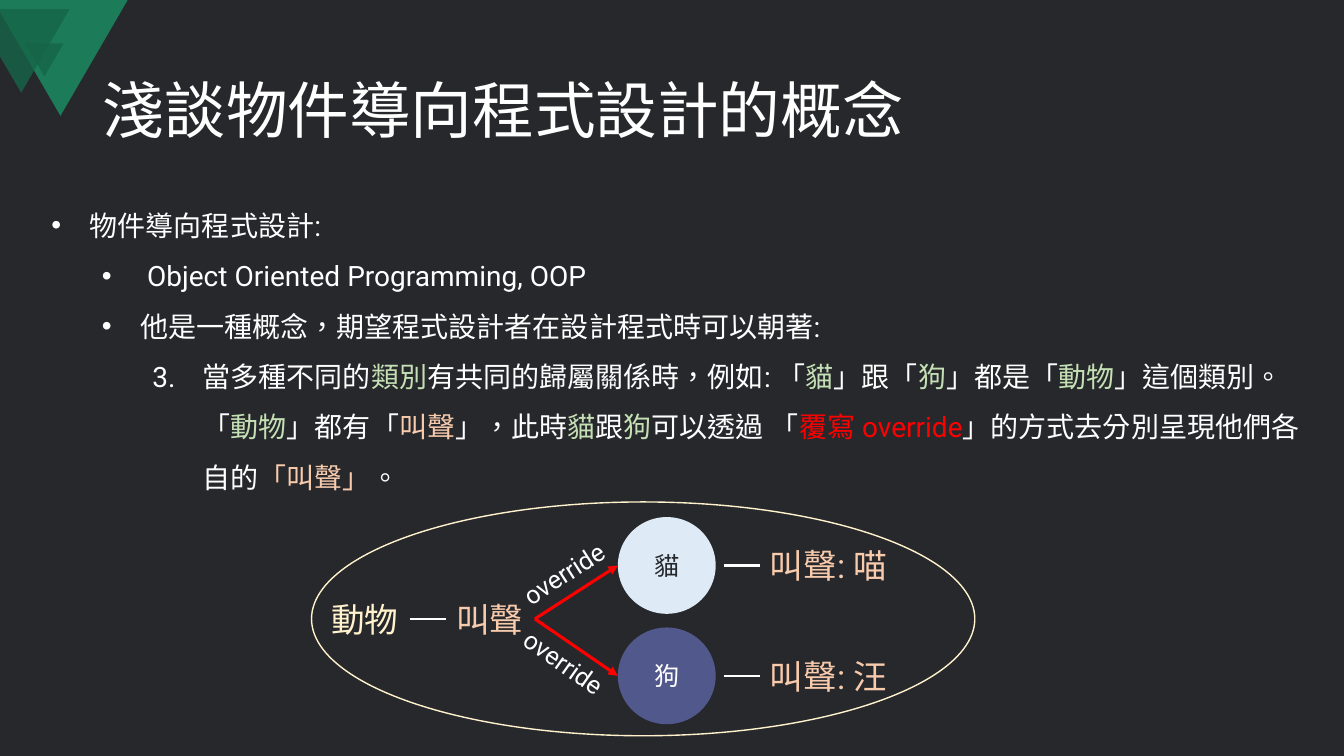
from pptx import Presentation
from pptx.dml.color import RGBColor
from pptx.enum.dml import MSO_LINE
from pptx.enum.shapes import MSO_CONNECTOR, MSO_SHAPE
from pptx.enum.text import MSO_ANCHOR, MSO_AUTO_SIZE, PP_ALIGN
from pptx.oxml.ns import qn
from pptx.util import Inches, Pt
from lxml import etree

OVAL, PEAK = MSO_SHAPE.OVAL, MSO_SHAPE.ISOSCELES_TRIANGLE
LINE, SOLID = MSO_CONNECTOR.STRAIGHT, MSO_LINE.SOLID
TOP, MIDDLE = MSO_ANCHOR.TOP, MSO_ANCHOR.MIDDLE
LEFT, CENTER = PP_ALIGN.LEFT, PP_ALIGN.CENTER
FIXED = MSO_AUTO_SIZE.NONE

WIDE, HIGH = Inches(13.33), Inches(7.5)
THEME = {
    "font": "Roboto", "lang": "zh-TW",
    "dark": "27282C", "white": "FFFFFF", "leaf": "1C7C5A", "moss": "166548",
    "mint": "C5E0B4", "peach": "F8CBAD", "red": "FF0000", "cream": "FFF2CC",
    "ice": "DEEBF7", "plum": "51588B",
    "title": 44, "body": 20, "node": 24, "small": 18,
    "thin": 1, "link": 1.5, "arrow": 2.25,
}

TITLE = "淺談物件導向程式設計的概念"
BODY = [
    (0, 0.38, -0.38, "•", [("物件導向程式設計:", "white")]),
    (1, 0.88, -0.38, "•", [(" Object Oriented Programming, OOP", "white")]),
    (1, 0.88, -0.38, "•", [("他是一種概念，期望程式設計者在設計程式時可以朝著:", "white")]),
    (2, 1.5, -0.5, 3, [
        ("當多種不同的", "white"), ("類別", "mint"),
        ("有共同的歸屬關係時，例如: 「", "white"), ("貓", "mint"),
        ("」跟「", "white"), ("狗", "mint"), ("」都是「", "white"),
        ("動物", "mint"), ("」這個類別。「", "white"), ("動物", "mint"),
        ("」都有「", "white"), ("叫聲", "peach"), ("」，此時", "white"),
        ("貓", "mint"), ("跟", "white"), ("狗", "mint"),
        ("可以透過 「", "white"), ("覆寫 override", "red"),
        ("」的方式去分別呈現他們各自的", "white"), ("「叫聲」", "peach"),
        ("。", "white")]),
]
PETS = [
    ("貓", "ice", "dark", "叫聲: 喵", 72.93, -32.8),
    ("狗", "plum", "white", "叫聲: 汪", 85.2, 35.3),
]
BADGE = [
    ([(0, 0), (9.5, 0), (4.5, 15.33), (0, 1.6)], "leaf", 100),
    ([(0, 1.2), (5.18, 1.2), (1.58, 12.27), (0, 7.47)], "moss", 80),
]
PLACES = {
    "title": (6.9, 5.33, 86.25, 19.33), "body": (3.08, 24.67, 95.85, 41.73),
    "ring": (23.18, 66.4, 49.35, 30.93), "peak": (1.88, 5.73, 2.85, 4.4),
    "kind": (23.9, 78.53, 6.6, 6.67), "voice": (33.2, 78.53, 6.6, 6.67),
}
PET = (45.97, 68.4, 7.28, 12.8)
STEP, DASH, CRY, TAG = 14.6, 53.85, (56.55, 10.73, 6.67), (37.8, 8.7, 5.33)


def px(share):
    return round(WIDE * share / 100)


def py(share):
    return round(HIGH * share / 100)


def spot(x, y, w, h):
    return px(x), py(y), px(w), py(h)


def tint(name):
    return RGBColor.from_string(THEME[name])


def apply(item, values):
    for key, value in values.items():
        setattr(item, key, value)


def write(para, text, size, color):
    run = para.add_run()
    run.text = text
    apply(run.font, {"size": Pt(THEME[size]), "name": THEME["font"]})
    run.font.color.rgb = tint(color)
    props = run.font._element
    props.set("lang", THEME["lang"])
    east = etree.Element(qn("a:ea"), typeface=THEME["font"])
    props.find(qn("a:latin")).addnext(east)


def paint(shape, fill=None, edge=None, alpha=100):
    shape.shadow.inherit = False
    if fill:
        shape.fill.solid()
        shape.fill.fore_color.rgb = tint(fill)
        if alpha < 100:
            tone = shape.fill._xPr.find(".//" + qn("a:srgbClr"))
            etree.SubElement(tone, qn("a:alpha"), val=str(alpha * 1000))
    else:
        shape.fill.background()
    if edge:
        shape.line.color.rgb = tint(edge)
        shape.line.width = Pt(THEME["thin"])
    else:
        shape.line.fill.background()


def label(place, text, size, color, wrap=False, turn=0):
    box = slide.shapes.add_textbox(*spot(*place))
    box.rotation = turn
    apply(box.text_frame, {"word_wrap": wrap, "auto_size": FIXED})
    write(box.text_frame.paragraphs[0], text, size, color)
    return box


def join(start, end, color, width, first=None, last=None, head=False):
    link = slide.shapes.add_connector(LINE, px(start[0]), py(start[1]), px(end[0]), py(end[1]))
    if first:
        link.begin_connect(first, 3)
    if last:
        link.end_connect(last, 1)
    link.line.color.rgb = tint(color)
    apply(link.line, {"width": Pt(THEME[width]), "dash_style": SOLID})
    if head:
        etree.SubElement(link.line._get_or_add_ln(), qn("a:tailEnd"), type="triangle")
    etree.SubElement(link._element.spPr, qn("a:effectLst"))


def mark(para, left, hang, sign):
    props = para._p.get_or_add_pPr()
    props.set("marL", str(Inches(left)))
    props.set("indent", str(Inches(hang)))
    if isinstance(sign, int):
        etree.SubElement(props, qn("a:buFont"), typeface="+mj-lt")
        etree.SubElement(props, qn("a:buAutoNum"), type="arabicPeriod", startAt=str(sign))
    else:
        etree.SubElement(props, qn("a:buFont"), typeface="Arial")
        etree.SubElement(props, qn("a:buChar"), char=sign)


deck = Presentation()
apply(deck, {"slide_width": WIDE, "slide_height": HIGH})
slide = deck.slides.add_slide(deck.slide_layouts[1])
slide.background.fill.solid()
slide.background.fill.fore_color.rgb = tint("dark")

title, body = slide.placeholders
for holder, name, anchor in ((title, "title", MIDDLE), (body, "body", TOP)):
    apply(holder, dict(zip(("left", "top", "width", "height"), spot(*PLACES[name]))))
    apply(holder.text_frame, {"word_wrap": True, "auto_size": FIXED, "vertical_anchor": anchor})

head = title.text_frame.paragraphs[0]
apply(head, {"alignment": LEFT, "line_spacing": 0.9})
write(head, TITLE, "title", "white")

for row, (level, left, hang, sign, runs) in enumerate(BODY):
    para = body.text_frame.add_paragraph() if row else body.text_frame.paragraphs[0]
    apply(para, {"level": level, "line_spacing": 1.5, "space_before": Pt(0)})
    mark(para, left, hang, sign)
    for text, color in runs:
        write(para, text, "body", color)

for points, color, alpha in BADGE:
    dots = [(px(x), py(y)) for x, y in points]
    form = slide.shapes.build_freeform(*dots[0])
    form.add_line_segments(dots[1:], close=True)
    paint(form.convert_to_shape(), color, alpha=alpha)
peak = slide.shapes.add_shape(PEAK, *spot(*PLACES["peak"]))
peak.rotation = 180
paint(peak, "moss", alpha=80)

ring = slide.shapes.add_shape(OVAL, *spot(*PLACES["ring"]))
paint(ring, edge="cream")
kind = label(PLACES["kind"], "動物", "node", "cream")
voice = label(PLACES["voice"], "叫聲", "node", "peach")
join((0, 0), (0, 0), "white", "link", kind, voice)

x, y, w, h = PET
for row, (name, fill, ink, cry, tag, turn) in enumerate(PETS):
    top = y + row * STEP
    mid = top + h / 2
    pet = slide.shapes.add_shape(OVAL, *spot(x, top, w, h))
    paint(pet, fill)
    pet.text_frame.vertical_anchor = MIDDLE
    para = pet.text_frame.paragraphs[0]
    para.alignment = CENTER
    write(para, name, "small", ink)
    join((x, mid), (x, mid), "red", "arrow", first=voice, head=True)
    label((TAG[0], tag, *TAG[1:]), "override", "small", "white", turn=turn)
    sound = label((CRY[0], mid - CRY[2] / 2, *CRY[1:]), cry, "node", "peach", wrap=True)
    join((DASH, mid), (CRY[0], mid), "white", "link", last=sound)

deck.save("out.pptx")
